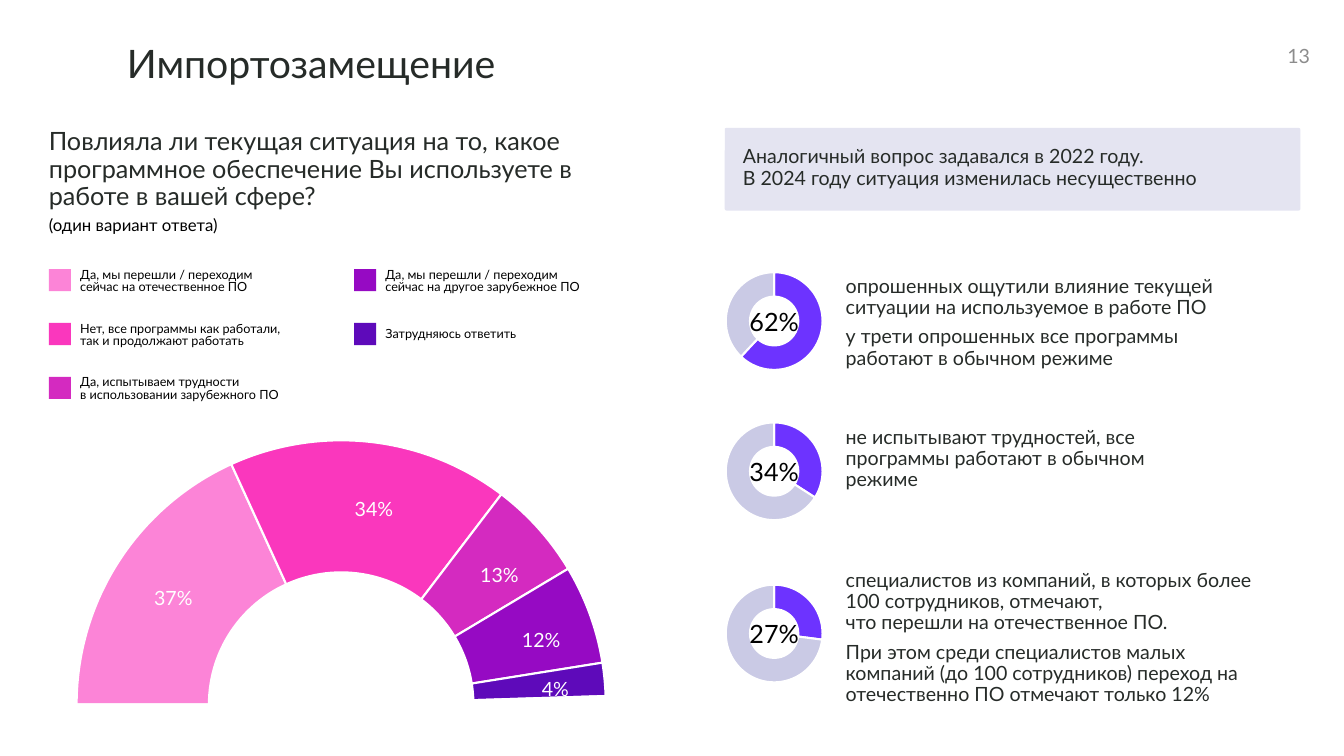
from dataclasses import dataclass

from lxml import etree
from pptx import Presentation
from pptx.chart.data import CategoryChartData
from pptx.dml.color import RGBColor
from pptx.enum.chart import XL_CHART_TYPE
from pptx.enum.shapes import MSO_SHAPE
from pptx.enum.text import MSO_ANCHOR, MSO_AUTO_SIZE, PP_ALIGN
from pptx.oxml.ns import qn
from pptx.util import Pt

DOUGHNUT = XL_CHART_TYPE.DOUGHNUT
RECTANGLE, ROUNDED = MSO_SHAPE.RECTANGLE, MSO_SHAPE.ROUNDED_RECTANGLE
TOP, MIDDLE, BOTTOM = MSO_ANCHOR.TOP, MSO_ANCHOR.MIDDLE, MSO_ANCHOR.BOTTOM
LEFT, CENTER, RIGHT = PP_ALIGN.LEFT, PP_ALIGN.CENTER, PP_ALIGN.RIGHT
FIT, FIXED = MSO_AUTO_SIZE.SHAPE_TO_FIT_TEXT, MSO_AUTO_SIZE.NONE

COLORS = {
    "ink": "262B28", "black": "000000", "white": "FFFFFF", "gray": "8C8C8C",
    "lavender": "CACAE5", "violet": "6D33FF", "pink": "FC84D7",
    "hot pink": "FA37BD", "magenta": "D42AC0", "purple": "960AC3", "indigo": "5E0ABA",
}


@dataclass
class Style:
    size: float
    color: str = "ink"
    align: PP_ALIGN = LEFT
    anchor: MSO_ANCHOR = TOP
    spacing: float = 0.9
    after: float = 0
    fit: MSO_AUTO_SIZE = FIT


@dataclass
class Label:
    text: str
    box: tuple
    style: Style


@dataclass
class LegendItem:
    text: str
    color: str
    column: int
    row: int
    text_drop: float = 0.3


@dataclass
class Finding:
    percent: int
    top: float
    text_top: float
    text_width: float
    text_height: float
    paragraphs: tuple


TITLE = Style(28, fit=FIXED)
LEGEND = Style(9, "black", spacing=0.8)
SHARE = Style(14, "white", CENTER)
DONUT_LABEL = Style(18, "black", CENTER)
BODY = Style(14, after=6)

LABELS = [
    Label("Повлияла ли текущая ситуация на то, какое программное обеспечение "
          "Вы используете в работе в вашей сфере?",
          (34.9, 92.2, 402.5, 58.3), Style(18, anchor=BOTTOM)),
    Label("(один вариант ответа)", (34.9, 154.8, 205.9, 13), Style(12, "black")),
    Label("Аналогичный вопрос задавался в 2022 году.\n"
          "В 2024 году ситуация изменилась несущественно",
          (530.6, 105.1, 368.6, 30.2), Style(14, anchor=BOTTOM)),
    Label("13", (887.8, 30.2, 48, 19.4),
          Style(14, "gray", RIGHT, MIDDLE, 1.0, fit=FIXED)),
    Label("37%", (108.7, 420.5, 30.2, 15.1), SHARE),
    Label("34%", (252, 357.1, 30.2, 15.1), SHARE),
    Label("13%", (341.3, 403.9, 31, 15.1), SHARE),
    Label("12%", (371.5, 450.7, 30.2, 15.1), SHARE),
    Label("4%", (381.6, 485.3, 30.2, 15.1), SHARE),
]
LEGEND_ITEMS = [
    LegendItem("Да, мы перешли / переходим\nсейчас на отечественное ПО", "pink", 0, 0),
    LegendItem("Нет, все программы как работали,\nтак и продолжают работать", "hot pink", 0, 1),
    LegendItem("Да, испытываем трудности\nв использовании зарубежного ПО", "magenta", 0, 2),
    LegendItem("Да, мы перешли / переходим\nсейчас на другое зарубежное ПО", "purple", 1, 0),
    LegendItem("Затрудняюсь ответить", "indigo", 1, 1, 4.1),
]
FINDINGS = [
    Finding(62, 193.7, 197.3, 285.1, 66.2, (
        "опрошенных ощутили влияние текущей ситуации на используемое в работе ПО",
        "у трети опрошенных все программы работают в обычном режиме")),
    Finding(34, 301, 305.3, 232.6, 45.4, (
        "не испытывают трудностей, все программы работают в обычном режиме",)),
    Finding(27, 416.9, 407.5, 294.5, 97.2, (
        "специалистов из компаний, в которых более 100 сотрудников, отмечают,\n"
        "что перешли на отечественное ПО.",
        "При этом среди специалистов малых компаний (до 100 сотрудников) "
        "переход на отечественно ПО отмечают только 12%")),
]


def rgb(name: str) -> RGBColor:
    return RGBColor.from_string(COLORS[name])


def points(values: tuple) -> list:
    return [Pt(value) for value in values]


def assign(target, values: dict) -> None:
    for name, value in values.items():
        setattr(target, name, value)


def write(box, paragraphs: tuple, style: Style) -> None:
    frame = box.text_frame
    assign(frame, {"word_wrap": True, "auto_size": style.fit, "vertical_anchor": style.anchor,
                   "margin_left": 0, "margin_top": 0, "margin_right": 0, "margin_bottom": 0})
    for index, text in enumerate(paragraphs):
        para = frame.add_paragraph() if index else frame.paragraphs[0]
        para.text = text.replace("\n", "\v")
        assign(para, {"alignment": style.align, "line_spacing": style.spacing,
                      "space_before": Pt(0), "space_after": Pt(style.after)})
        for span in para.runs:
            assign(span.font, {"name": "Lato", "size": Pt(style.size)})
            span.font.color.rgb = rgb(style.color)


def add_text(shapes, box: tuple, paragraphs: tuple, style: Style) -> None:
    write(shapes.add_textbox(*points(box)), paragraphs, style)


def add_block(shapes, kind: MSO_SHAPE, box: tuple, color: str):
    block = shapes.add_shape(kind, *points(box))
    block.shadow.inherit = False
    block.fill.solid()
    block.fill.fore_color.rgb = rgb(color)
    block.line.fill.background()
    return block


def add_doughnut(shapes, box: tuple, values: tuple, colors: tuple, start: int, inner: tuple) -> None:
    data = CategoryChartData()
    data.categories = [str(number + 1) for number in range(len(values))]
    data.add_series("Series 1", values)
    chart = shapes.add_chart(DOUGHNUT, *points(box), data).chart
    assign(chart, {"has_legend": False, "has_title": False})
    assign(chart.font, {"name": "Calibri", "size": Pt(10)})
    chart.font.color.rgb = rgb("black")
    plot = chart.plots[0]
    plot.vary_by_categories = True
    for index, color in enumerate(colors):
        slice_format = plot.series[0].points[index].format
        if color:
            slice_format.fill.solid()
            slice_format.fill.fore_color.rgb = rgb(color)
        else:
            slice_format.fill.background()
        slice_format.line.color.rgb = rgb("white")
        slice_format.line.width = Pt(1.5)
    area = chart._chartSpace.find(".//" + qn("c:plotArea"))
    area.find(".//" + qn("c:firstSliceAng")).set("val", str(start))
    area.find(".//" + qn("c:holeSize")).set("val", "50")
    for layout in area.findall(qn("c:layout")):
        area.remove(layout)
    layout = etree.Element(qn("c:layout"))
    area.insert(0, layout)
    manual = etree.SubElement(layout, qn("c:manualLayout"))
    settings = {"layoutTarget": "inner", "xMode": "edge", "yMode": "edge",
                **dict(zip("xywh", inner))}
    for name, value in settings.items():
        etree.SubElement(manual, qn("c:" + name)).set("val", str(value))


def add_legend_item(shapes, item: LegendItem) -> None:
    group = shapes.add_group_shape().shapes
    left, top = 34.9 + 218 * item.column, 192.2 + 38.5 * item.row
    add_block(group, RECTANGLE, (left, top, 15.8, 15.8), item.color)
    add_text(group, (left + 22.4, top + item.text_drop, 160, 17.3), (item.text,), LEGEND)


def add_finding(shapes, item: Finding) -> None:
    add_doughnut(shapes, (517.7, item.top, 70.6, 71.3), (item.percent, 100 - item.percent),
                 ("violet", "lavender"), 0, (0, 0, 1, 0.99))
    add_text(shapes, (524.9, item.top + 27.4, 56.2, 19.4), (f"{item.percent}%",), DONUT_LABEL)
    add_text(shapes, (604.1, item.text_top, item.text_width, item.text_height),
             item.paragraphs, BODY)


def main() -> None:
    deck = Presentation()
    assign(deck, {"slide_width": Pt(960), "slide_height": Pt(540)})
    page = deck.slides.add_slide(deck.slide_layouts[5])
    shapes = page.shapes
    title = shapes.title
    assign(title, dict(zip(("left", "top", "width", "height"), points((90.7, 31.7, 795.6, 30.2)))))
    write(title, ("Импортозамещение",), TITLE)
    banner = add_block(shapes, ROUNDED, (517.7, 91.4, 411.1, 59), "lavender")
    banner.adjustments[0] = 0.02
    tint = banner._element.spPr.find(qn("a:solidFill") + "/" + qn("a:srgbClr"))
    etree.SubElement(tint, qn("a:alpha")).set("val", "50000")
    add_doughnut(shapes, (31.7, 298.8, 424.1, 393.8), (18, 17, 6, 6, 2, 50),
                 (*(item.color for item in LEGEND_ITEMS), None), 270, (0, 0.04, 1, 0.96))
    for item in LEGEND_ITEMS:
        add_legend_item(shapes, item)
    for label in LABELS:
        add_text(shapes, label.box, (label.text,), label.style)
    for finding in FINDINGS:
        add_finding(shapes, finding)
    deck.save("out.pptx")


if __name__ == "__main__":
    main()
